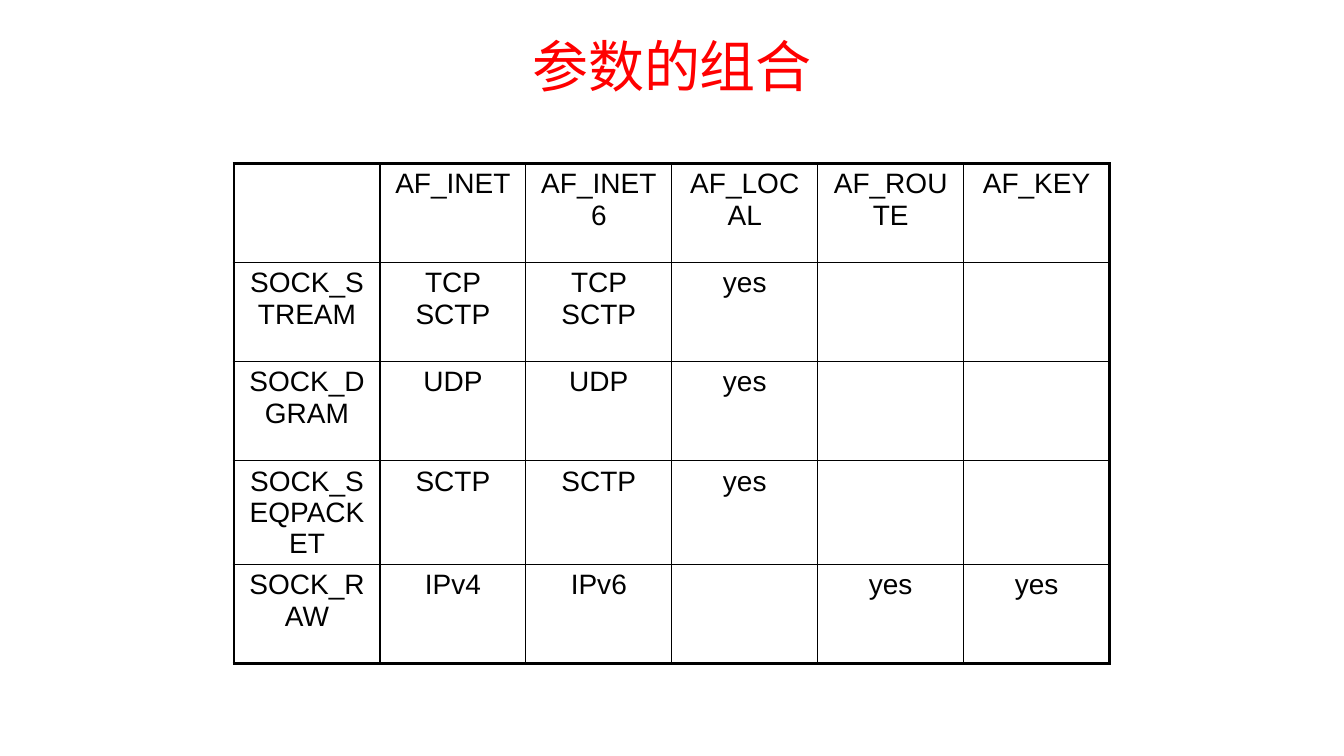
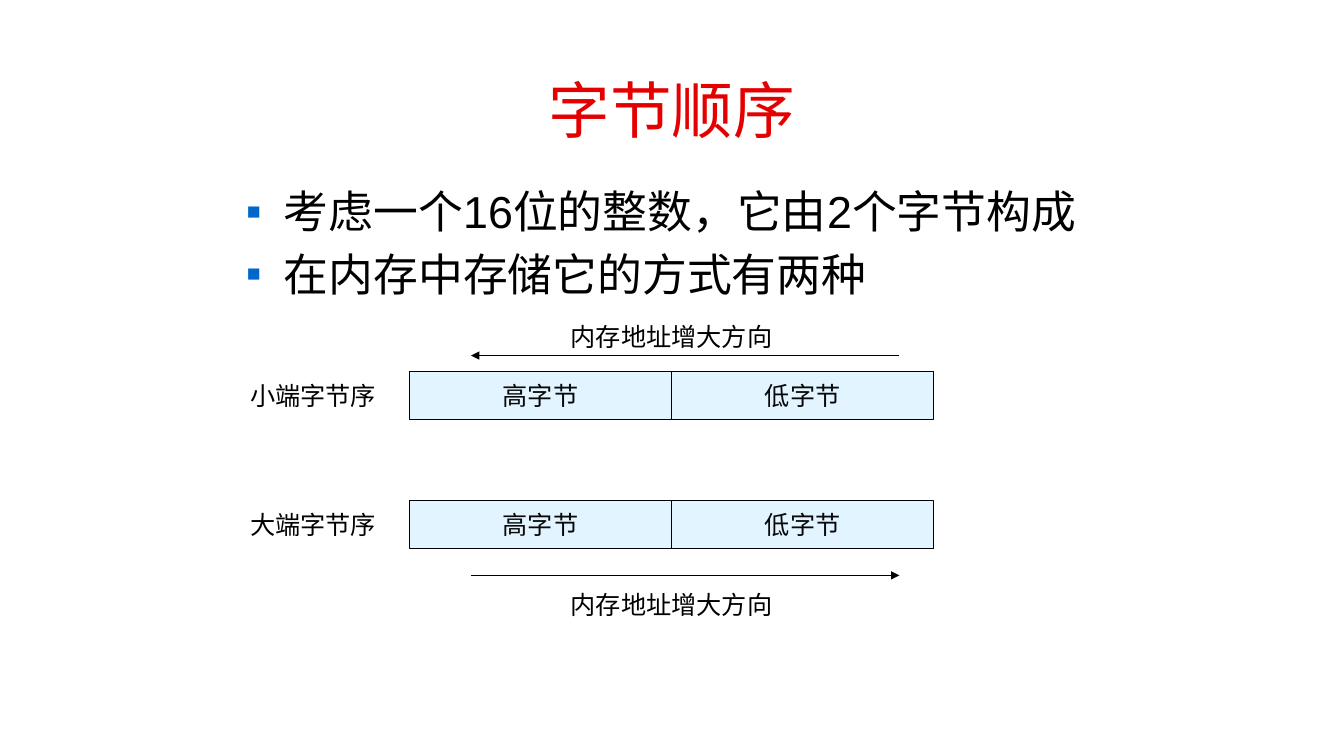
from pptx import Presentation
from pptx.dml.color import RGBColor
from pptx.enum.shapes import MSO_CONNECTOR, MSO_SHAPE
from pptx.enum.text import MSO_ANCHOR, MSO_AUTO_SIZE, PP_ALIGN
from pptx.oxml.ns import qn
from pptx.util import Pt
from lxml.etree import SubElement

BLACK = RGBColor(0x00, 0x00, 0x00)
BYTE_TEXT = RGBColor(0x08, 0x08, 0x08)
BYTE_FILL = RGBColor(0xE1, 0xF4, 0xFF)
BULLET_BLUE = RGBColor(0x00, 0x66, 0xCC)
BRIGHT_RED = RGBColor(0xFF, 0x00, 0x00)
TITLE_RED = RGBColor(0xE4, 0x00, 0x00)
LATIN_FONT = "Arial"
CJK_FONT = "Noto Sans CJK SC"
TITLE_AND_CONTENT, TITLE_ONLY = 1, 5

SOCKET_ROWS = [
    ["", "AF_INET", "AF_INET6", "AF_LOCAL", "AF_ROUTE", "AF_KEY"],
    ["SOCK_STREAM", "TCP SCTP", "TCP SCTP", "yes", "", ""],
    ["SOCK_DGRAM", "UDP", "UDP", "yes", "", ""],
    ["SOCK_SEQPACKET", "SCTP", "SCTP", "yes", "", ""],
    ["SOCK_RAW", "IPv4", "IPv6", "", "yes", "yes"],
]


def style(paragraph, size, color=BLACK, align=PP_ALIGN.CENTER, font=LATIN_FONT):
    paragraph.alignment = align
    paragraph.font.size = Pt(size)
    paragraph.font.name = font
    paragraph.font.color.rgb = color


def place(shape, left, top, width, height):
    shape.left, shape.top = Pt(left), Pt(top)
    shape.width, shape.height = Pt(width), Pt(height)


def set_title(slide, text, box, size, color, font=LATIN_FONT):
    title = slide.shapes.title
    place(title, *box)
    frame = title.text_frame
    frame.text = text
    frame.vertical_anchor = MSO_ANCHOR.MIDDLE
    frame.auto_size = MSO_AUTO_SIZE.NONE
    style(frame.paragraphs[0], size, color, font=font)
    frame.paragraphs[0].line_spacing = 0.9


def set_borders(cell, widths):
    """Draw black borders; widths follow left, right, top, bottom."""
    properties = cell._tc.get_or_add_tcPr()
    for position, (tag, width) in enumerate(zip(("a:lnL", "a:lnR", "a:lnT", "a:lnB"), widths)):
        border = SubElement(properties, qn(tag), w=str(Pt(width)))
        SubElement(SubElement(border, qn("a:solidFill")), qn("a:srgbClr"), val=str(BLACK))
        properties.insert(position, border)


def add_socket_table(slide, left, top, width, height, outer=2.25, inner=1):
    last_row, last_column = len(SOCKET_ROWS) - 1, len(SOCKET_ROWS[0]) - 1
    table = slide.shapes.add_table(
        last_row + 1, last_column + 1, Pt(left), Pt(top), Pt(width), Pt(height)).table
    table.first_row = table.horz_banding = False
    for r, texts in enumerate(SOCKET_ROWS):
        for c, text in enumerate(texts):
            cell = table.cell(r, c)
            cell.text = text
            cell.fill.background()
            style(cell.text_frame.paragraphs[0], 20)
            on_edge = (c == 0, c == last_column, r == 0, r == last_row)
            set_borders(cell, [outer if edge else inner for edge in on_edge])


def set_bullets(slide, lines, box):
    body = slide.placeholders[1]
    place(body, *box)
    frame = body.text_frame
    frame.auto_size = MSO_AUTO_SIZE.NONE
    frame.text = "\n".join(lines)
    for paragraph in frame.paragraphs:
        style(paragraph, 32, align=PP_ALIGN.LEFT)
        paragraph.space_before = Pt(6.4)
        properties = paragraph._p.get_or_add_pPr()
        properties.set("marL", str(Pt(27)))
        properties.set("indent", str(-Pt(27)))
        bullet_color = SubElement(properties, qn("a:buClr"))
        SubElement(bullet_color, qn("a:srgbClr"), val=str(BULLET_BLUE))
        bullet = SubElement(properties, qn("a:buChar"), char="▪")
        properties.find(qn("a:defRPr")).addprevious(bullet_color)
        bullet_color.addnext(bullet)


def add_label(slide, text, left, top, width, height, align):
    label = slide.shapes.add_textbox(Pt(left), Pt(top), Pt(width), Pt(height))
    frame = label.text_frame
    frame.text = text
    frame.word_wrap = False
    frame.vertical_anchor = MSO_ANCHOR.MIDDLE
    style(frame.paragraphs[0], 18, align=align)


def add_byte(slide, text, left, top, width, height):
    byte = slide.shapes.add_shape(
        MSO_SHAPE.RECTANGLE, Pt(left), Pt(top), Pt(width), Pt(height))
    byte.shadow.inherit = False
    byte.fill.solid()
    byte.fill.fore_color.rgb = BYTE_FILL
    byte.line.color.rgb = BLACK
    byte.line.width = Pt(0.75)
    frame = byte.text_frame
    frame.text = text
    frame.word_wrap = False
    frame.vertical_anchor = MSO_ANCHOR.MIDDLE
    style(frame.paragraphs[0], 18, BYTE_TEXT)


def add_arrow(slide, start, end, y):
    arrow = slide.shapes.add_connector(
        MSO_CONNECTOR.STRAIGHT, Pt(start), Pt(y), Pt(end), Pt(y))
    arrow.line.color.rgb = BLACK
    arrow.line.width = Pt(0.75)
    SubElement(arrow.line._get_or_add_ln(), qn("a:tailEnd"), type="triangle")
    SubElement(arrow._element.spPr, qn("a:effectLst"))


def add_byte_order(slide, name, left, top, arrow, arrow_dy, caption_dy):
    """Place one named pair of bytes with its address arrow and caption."""
    byte_left, byte_width, height = left + 121, 187.2, 34
    caption_width = 190
    add_label(slide, name, left, top, 118, height, PP_ALIGN.LEFT)
    for i, text in enumerate(("高字节", "低字节")):
        add_byte(slide, text, byte_left + i * byte_width, top, byte_width, height)
    start, end = arrow
    add_arrow(slide, left + start, left + end, top + arrow_dy)
    add_label(slide, "内存地址增大方向", byte_left + byte_width - caption_width / 2,
              top + caption_dy, caption_width, 29, PP_ALIGN.CENTER)


def build_parameters_slide(prs):
    slide = prs.slides.add_slide(prs.slide_layouts[TITLE_ONLY])
    set_title(slide, "参数的组合", (0, 0, 960, 99), 40, BRIGHT_RED, CJK_FONT)
    add_socket_table(slide, 167.2, 116.7, 625.5, 354)


def build_byte_order_slide(prs):
    slide = prs.slides.add_slide(prs.slide_layouts[TITLE_AND_CONTENT])
    set_title(slide, "字节顺序", (66, 29, 828, 104), 44, TITLE_RED)
    set_bullets(slide, ["考虑一个16位的整数，它由2个字节构成", "在内存中存储它的方式有两种"],
                (168.5, 127.5, 642, 354))
    near, far = 165, 471
    add_byte_order(slide, "小端字节序", 171.5, 265.5, (far, near), -11.5, -40)
    add_byte_order(slide, "大端字节序", 171.5, 357.5, (near, far), 53.5, 60)


def main():
    prs = Presentation()
    prs.slide_width, prs.slide_height = Pt(960), Pt(540)
    build_parameters_slide(prs)
    build_byte_order_slide(prs)
    prs.save("out.pptx")


if __name__ == "__main__":
    main()
